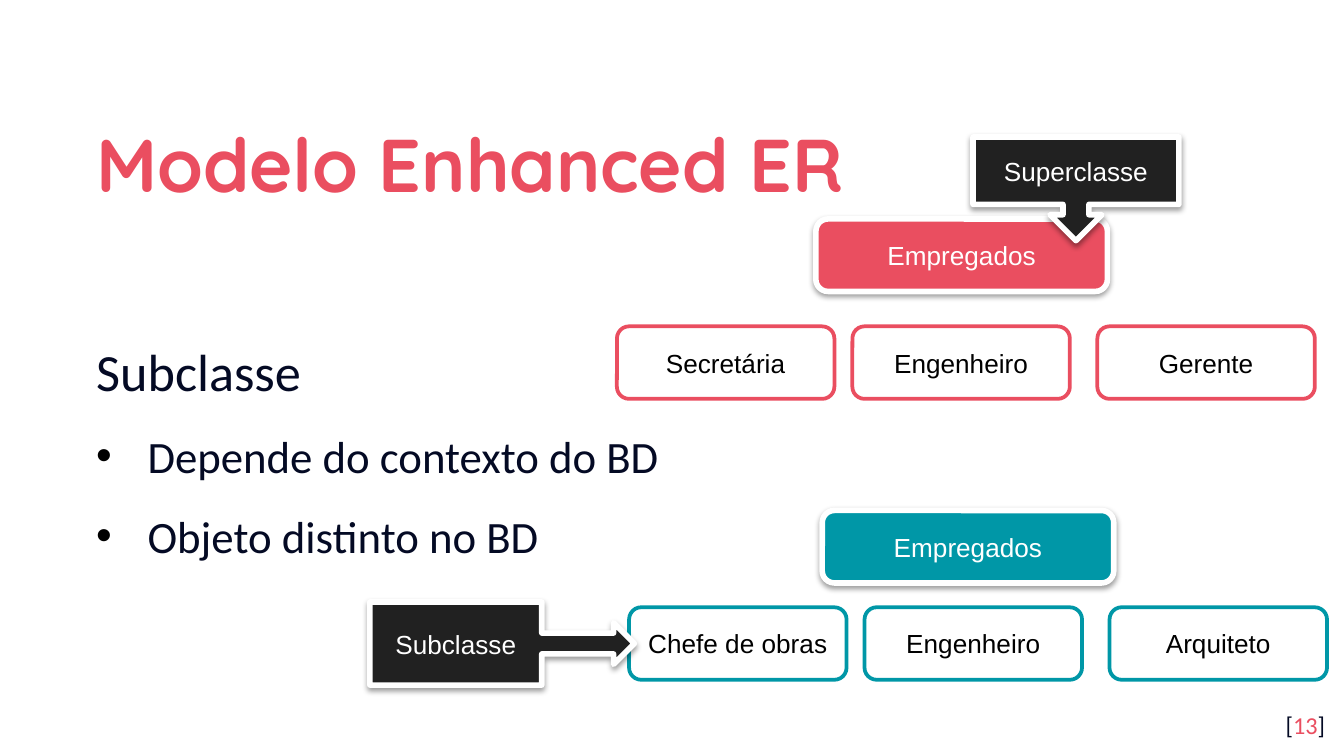
import pptx
import pptx.dml.color
import pptx.enum.shapes
import pptx.enum.text
import pptx.oxml
import pptx.oxml.ns
import pptx.util

Cm = pptx.util.Cm
Pt = pptx.util.Pt
MSO = pptx.enum.shapes.MSO_SHAPE
ALIGN = pptx.enum.text.PP_ALIGN
MIDDLE = pptx.enum.text.MSO_ANCHOR.MIDDLE
NS = pptx.oxml.ns.nsdecls("a")
CORAL, TEAL, NAVY, DARK, WHITE, BLACK = "EA4E60", "0097A7", "040A24", "212121", "FFFFFF", "000000"
SHADOW = (f'<a:effectLst {NS}><a:outerShdw blurRad="39370" dist="20320" dir="5400000" rotWithShape="0">'
          '<a:srgbClr val="000000"><a:alpha val="38000"/></a:srgbClr></a:outerShdw></a:effectLst>')


def rgb(color):
    return pptx.dml.color.RGBColor.from_string(color)


def write(p, text, size=14, font="Arial", color=BLACK, bold=False, align=ALIGN.LEFT):
    p.alignment = align
    r = p.add_run()
    r.text = text
    r.font.size = Pt(size)
    r.font.name = font
    r.font.bold = bold
    r.font.color.rgb = rgb(color)


prs = pptx.Presentation()
prs.slide_width, prs.slide_height = Cm(25.4), Cm(14.29)
s = prs.slides.add_slide(prs.slide_layouts[6])

frames = []
for x, y, w, h in [(1.57, 1.78, 22.28, 2.34), (23.77, 13.18, 1.52, 1.09), (1.57, 4.11, 11.68, 8.66)]:
    tf = s.shapes.add_textbox(Cm(x), Cm(y), Cm(w), Cm(h)).text_frame
    tf.word_wrap = True
    tf.margin_left = tf.margin_right = tf.margin_top = tf.margin_bottom = Cm(0.25)
    frames.append(tf)
title, number, body = frames
title.vertical_anchor = body.vertical_anchor = MIDDLE

p = title.paragraphs[0]
p.line_spacing = 1.14
write(p, "Modelo Enhanced ER", size=40, font="Quicksand", color=CORAL, bold=True)

for text, color in [("[", NAVY), ("13", CORAL), ("]", NAVY)]:
    write(number.paragraphs[0], text, size=13, font="Calibri", color=color, align=ALIGN.RIGHT)

for i, text in enumerate(["Subclasse", "Depende do contexto do BD", "Objeto distinto no BD"]):
    p = body.add_paragraph() if i else body.paragraphs[0]
    p.line_spacing = 1.14
    p.space_before = Pt(10)
    write(p, text, size=24 if i else 28, font="Calibri", color=NAVY)
    if i:
        pPr = p._p.get_or_add_pPr()
        pPr.set("marL", str(Cm(0.97)))
        pPr.set("indent", str(-Cm(0.97)))
        for bullet in ['buClr {}><a:srgbClr val="000000"/></a:buClr>', 'buFont {} typeface="Arial"/>', 'buChar {} char="•"/>']:
            pPr.append(pptx.oxml.parse_xml("<a:" + bullet.format(NS)))

boxes = []
for color, parent_x, parent_y, child_x, child_y, children in [
    (CORAL, 15.42, 4.14, 11.66, 6.17, ["Secretária", "Engenheiro", "Gerente"]),
    (TEAL, 15.54, 9.65, 11.89, 11.48, ["Chefe de obras", "Engenheiro", "Arquiteto"]),
]:
    boxes.append((MSO.ROUNDED_RECTANGLE, parent_x, parent_y, 5.51, 1.37, "Empregados", color, WHITE, WHITE))
    for dx, text in zip([0, 4.45, 9.08], children):
        boxes.append((MSO.ROUNDED_RECTANGLE, child_x + dx, child_y, 4.11, 1.37, text, WHITE, color, BLACK))
boxes.append((MSO.DOWN_ARROW_CALLOUT, 18.39, 2.59, 3.89, 1.96, "Superclasse", DARK, WHITE, WHITE))
boxes.append((MSO.RIGHT_ARROW_CALLOUT, 6.99, 11.38, 5, 1.57, "Subclasse", DARK, WHITE, WHITE))

for kind, x, y, w, h, text, fill, line, color in boxes:
    sp = s.shapes.add_shape(kind, Cm(x), Cm(y), Cm(w), Cm(h))
    for i, adj in enumerate([0.167] if kind == MSO.ROUNDED_RECTANGLE else [0.25, 0.25, 0.25, 0.65]):
        sp.adjustments[i] = adj
    sp.fill.solid()
    sp.fill.fore_color.rgb = rgb(fill)
    sp.line.color.rgb = rgb(line)
    sp.line.width = Pt(3 if line == WHITE else 2)
    sp.shadow.inherit = False
    if line == WHITE:
        effects = sp._element.spPr.find(pptx.oxml.ns.qn("a:effectLst"))
        sp._element.spPr.replace(effects, pptx.oxml.parse_xml(SHADOW))
    tf = sp.text_frame
    tf.word_wrap = True
    tf.vertical_anchor = MIDDLE
    write(tf.paragraphs[0], text, color=color, align=ALIGN.CENTER)

prs.save("out.pptx")
